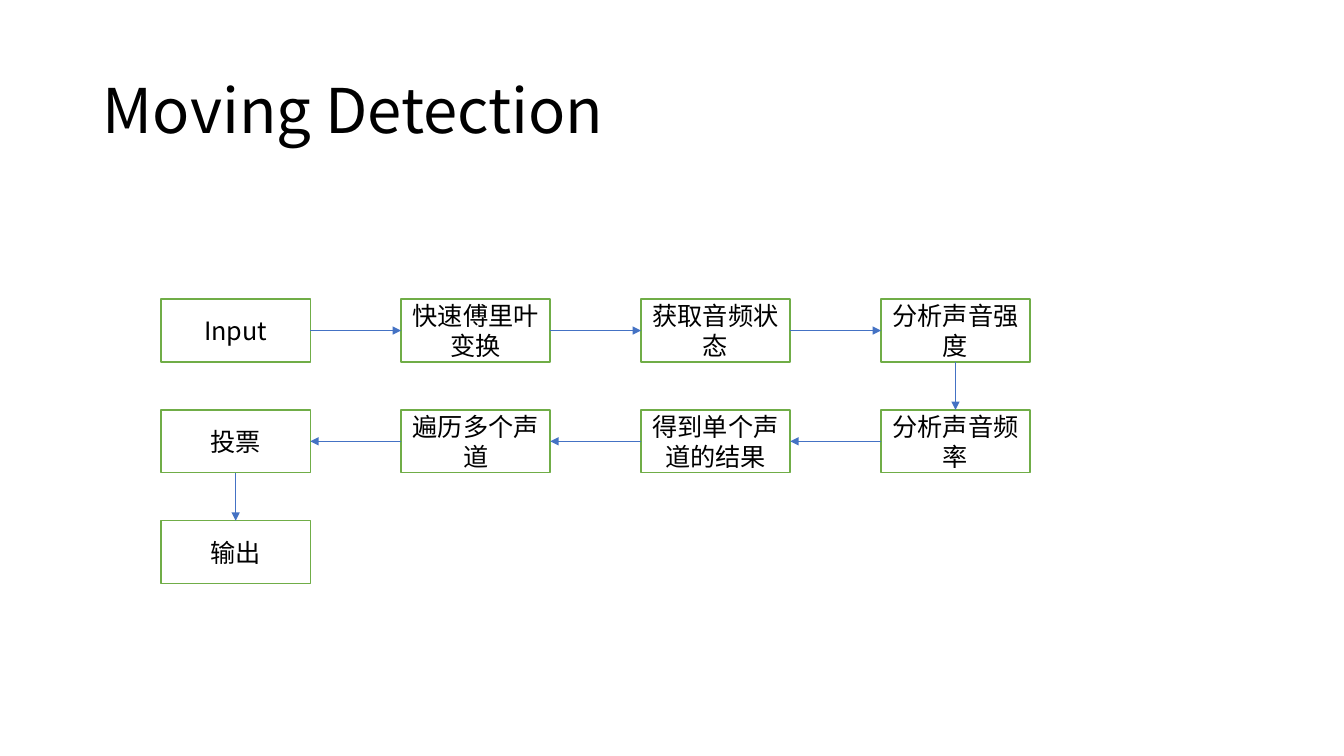
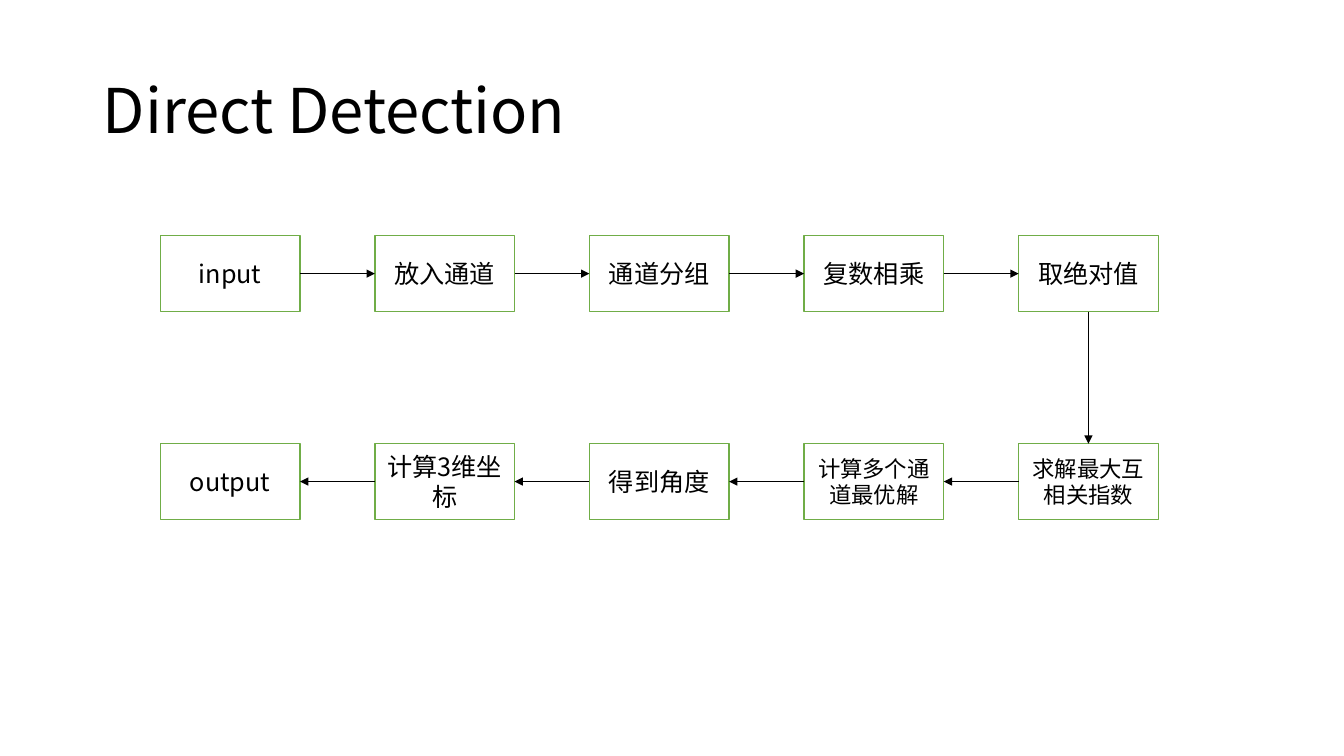
"""Build two slides, each showing a detection pipeline as a winding flow of steps."""
from dataclasses import dataclass

import pptx
import pptx.dml.color
import pptx.enum.shapes
import pptx.enum.text
import pptx.oxml
import pptx.oxml.ns
import pptx.util
from lxml import etree

Cm = pptx.util.Cm
Pt = pptx.util.Pt
TOP, LEFT, BOTTOM, RIGHT = range(4)


@dataclass(frozen=True)
class Theme:
    """Colours, font, type sizes and line widths shared by the slides."""
    font: str = "Noto Sans CJK SC"
    text: str = "000000"
    step_fill: str = "FFFFFF"
    step_line: str = "70AD47"
    blue_arrow: str = "4472C4"
    black_arrow: str = "000000"
    title_size: int = 44
    step_size: int = 18
    long_step_size: int = 16
    step_line_width: float = 1
    arrow_width: float = 0.5


@dataclass(frozen=True)
class Box:
    """A rectangle in centimetres."""
    left: float
    top: float
    width: float
    height: float

    def lengths(self):
        """Return the four measures as slide lengths."""
        return Cm(self.left), Cm(self.top), Cm(self.width), Cm(self.height)


@dataclass(frozen=True)
class Flow:
    """Steps that wind through a grid, with the size of one step."""
    title: str
    steps: tuple
    area: Box
    columns: int
    step_width: float
    step_height: float
    arrow_color: str
    long_steps: tuple = ()


THEME = Theme()
TITLE_BOX = Box(2.34, 1.02, 29.21, 3.68)
FLOWS = (
    Flow("Moving Detection",
         ("Input", "快速傅里叶变换", "获取音频状态", "分析声音强度", "分析声音频率",
          "得到单个声道的结果", "遍历多个声道", "投票", "输出"),
         Box(4.06, 7.54, 21.9, 7.16), 4, 3.76, 1.58, THEME.blue_arrow),
    Flow("Direct Detection",
         ("input", "放入通道", "通道分组", "复数相乘", "取绝对值",
          "求解最大互相关指数", "计算多个通道最优解", "得到角度", "计算3维坐标", "output"),
         Box(4.04, 5.94, 25.15, 7.15), 5, 3.52, 1.91, THEME.black_arrow,
         ("求解最大互相关指数", "计算多个通道最优解")),
)


def rgb(value):
    """Turn a hex string into a colour."""
    return pptx.dml.color.RGBColor.from_string(value)


def write(frame, text, size, alignment):
    """Put one styled run into a vertically centred text frame."""
    frame.word_wrap = True
    frame.auto_size = pptx.enum.text.MSO_AUTO_SIZE.NONE
    frame.vertical_anchor = pptx.enum.text.MSO_ANCHOR.MIDDLE
    paragraph = frame.paragraphs[0]
    paragraph.alignment = alignment
    run = paragraph.add_run()
    run.text = text
    run.font.size = Pt(size)
    run.font.name = THEME.font
    run.font.color.rgb = rgb(THEME.text)
    properties = run.font._element
    etree.SubElement(properties, pptx.oxml.ns.qn("a:ea"), typeface=THEME.font)
    return paragraph


def place_title(slide, text, box):
    """Move the title placeholder into the box and fill it."""
    title = slide.shapes.title
    title.left, title.top, title.width, title.height = box.lengths()
    paragraph = write(title.text_frame, text, THEME.title_size,
                      pptx.enum.text.PP_ALIGN.LEFT)
    paragraph.line_spacing = 0.9


def add_step(slide, text, box, size):
    """Draw one outlined step of the flow."""
    step = slide.shapes.add_shape(
        pptx.enum.shapes.MSO_SHAPE.RECTANGLE, *box.lengths())
    step.shadow.inherit = False
    step.fill.solid()
    step.fill.fore_color.rgb = rgb(THEME.step_fill)
    step.line.color.rgb = rgb(THEME.step_line)
    step.line.width = Pt(THEME.step_line_width)
    write(step.text_frame, text, size, pptx.enum.text.PP_ALIGN.CENTER)
    return step


def add_arrow(slide, start, end, color):
    """Connect the facing sides of two neighbouring steps."""
    if start.left == end.left:
        sides = BOTTOM, TOP
    elif start.left < end.left:
        sides = RIGHT, LEFT
    else:
        sides = LEFT, RIGHT
    arrow = slide.shapes.add_connector(
        pptx.enum.shapes.MSO_CONNECTOR.STRAIGHT, 0, 0, 0, 0)
    arrow.begin_connect(start, sides[0])
    arrow.end_connect(end, sides[1])
    arrow.line.color.rgb = rgb(color)
    arrow.line.width = Pt(THEME.arrow_width)
    outline = arrow.line._get_or_add_ln()
    etree.SubElement(outline, pptx.oxml.ns.qn("a:tailEnd"), type="triangle")
    etree.SubElement(arrow._element.spPr, pptx.oxml.ns.qn("a:effectLst"))


def step_box(flow, index):
    """Return the place of a step; every second row runs leftwards."""
    row, column = divmod(index, flow.columns)
    if row % 2:
        column = flow.columns - 1 - column
    last_row = (len(flow.steps) - 1) // flow.columns
    pitch_x = (flow.area.width - flow.step_width) / (flow.columns - 1)
    pitch_y = (flow.area.height - flow.step_height) / last_row
    return Box(flow.area.left + column * pitch_x, flow.area.top + row * pitch_y,
               flow.step_width, flow.step_height)


def place_flow(slide, flow):
    """Draw all steps of a flow and the arrows between them."""
    steps = []
    for index, text in enumerate(flow.steps):
        size = THEME.long_step_size if text in flow.long_steps else THEME.step_size
        steps.append(add_step(slide, text, step_box(flow, index), size))
    for start, end in zip(steps, steps[1:]):
        add_arrow(slide, start, end, flow.arrow_color)


def add_flow_slide(deck, flow):
    """Add a title-only slide holding one flow."""
    slide = deck.slides.add_slide(deck.slide_layouts[5])
    place_title(slide, flow.title, TITLE_BOX)
    place_flow(slide, flow)


def main():
    """Build and save the deck."""
    deck = pptx.Presentation()
    deck.slide_width, deck.slide_height = Cm(33.87), Cm(19.05)
    for flow in FLOWS:
        add_flow_slide(deck, flow)
    deck.save("out.pptx")


main()
